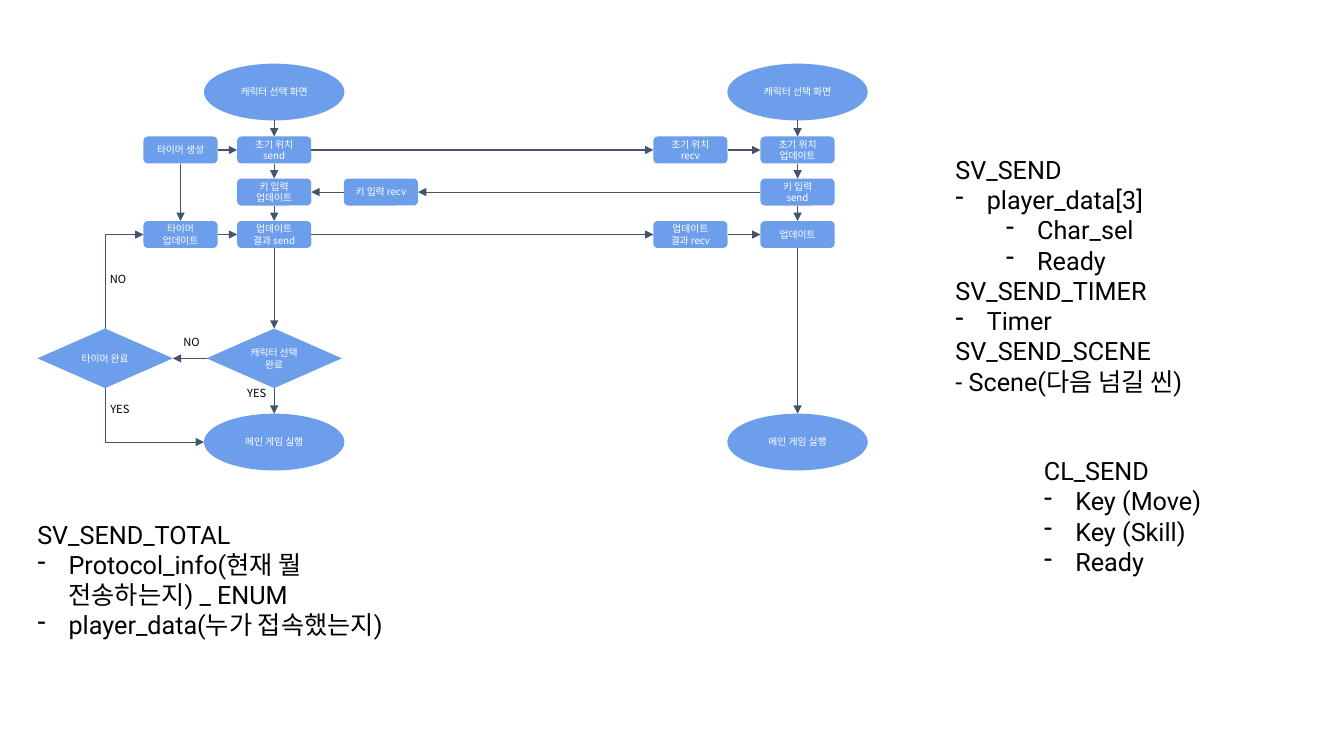
from lxml import etree
from pptx import Presentation
from pptx import util as u
from pptx.dml.color import RGBColor
from pptx.enum import shapes, text
from pptx.oxml.ns import qn

BLUE = RGBColor(0x6D, 0x9E, 0xEB)
SLATE = RGBColor(0x44, 0x54, 0x6A)
WHITE = RGBColor(0xFF, 0xFF, 0xFF)
BLACK = RGBColor(0, 0, 0)
FLOW_FONT = "Noto Sans CJK KR"
LIST_FONT = "Roboto"
INSET = u.Cm(0.25)

presentation = Presentation()
presentation.slide_width = u.Cm(33.87)
presentation.slide_height = u.Cm(19.05)
slide = presentation.slides.add_slide(presentation.slide_layouts[6])


def style_paragraph(paragraph, size, name, color):
    paragraph.font.size = u.Pt(size)
    paragraph.font.name = name
    paragraph.font.color.rgb = color
    properties = paragraph._p.get_or_add_pPr().find(qn("a:defRPr"))
    etree.SubElement(properties, qn("a:ea")).set("typeface", FLOW_FONT)


def add_line(x1, y1, x2, y2, arrow=True):
    line = slide.shapes.add_connector(
        shapes.MSO_CONNECTOR.STRAIGHT, u.Cm(x1), u.Cm(y1), u.Cm(x2), u.Cm(y2))
    line.line.color.rgb = SLATE
    line.line.width = u.Pt(0.75)
    if arrow:
        outline = line.line._get_or_add_ln()
        etree.SubElement(outline, qn("a:tailEnd")).set("type", "triangle")
    etree.SubElement(line._element.spPr, qn("a:effectLst"))


TIMER_CHECK, TIMER, SERVER, SERVER_RECV = 2.65, 4.55, 6.91, 9.6
CLIENT_RECV, CLIENT = 17.4, 20.1
START, INITIAL, KEY, UPDATE, CHECK, GAME = 2.32, 3.78, 4.84, 5.91, 9.03, 11.14

OVAL = (shapes.MSO_SHAPE.OVAL, 3.54, 1.43)
BOX = (shapes.MSO_SHAPE.ROUNDED_RECTANGLE, 1.87, 0.68)
DECISION = (shapes.MSO_SHAPE.FLOWCHART_DECISION, 3.41, 1.5)

nodes = {
    (SERVER, START): (OVAL, "캐릭터 선택 화면"),
    (CLIENT, START): (OVAL, "캐릭터 선택 화면"),
    (TIMER, INITIAL): (BOX, "타이머 생성"),
    (SERVER, INITIAL): (BOX, "초기 위치 send"),
    (CLIENT_RECV, INITIAL): (BOX, "초기 위치 recv"),
    (CLIENT, INITIAL): (BOX, "초기 위치 업데이트"),
    (SERVER, KEY): (BOX, "키 입력 업데이트"),
    (SERVER_RECV, KEY): (BOX, "키 입력 recv"),
    (CLIENT, KEY): (BOX, "키 입력 send"),
    (TIMER, UPDATE): (BOX, "타이머 업데이트"),
    (SERVER, UPDATE): (BOX, "업데이트 결과 send"),
    (CLIENT_RECV, UPDATE): (BOX, "업데이트 결과 recv"),
    (CLIENT, UPDATE): (BOX, "업데이트"),
    (TIMER_CHECK, CHECK): (DECISION, "타이머 완료"),
    (SERVER, CHECK): (DECISION, "캐릭터 선택 완료"),
    (SERVER, GAME): (OVAL, "메인 게임 실행"),
    (CLIENT, GAME): (OVAL, "메인 게임 실행"),
}
for (x, y), ((preset, width, height), label) in nodes.items():
    shape = slide.shapes.add_shape(
        preset, u.Cm(x - width / 2), u.Cm(y - height / 2), u.Cm(width), u.Cm(height))
    shape.shadow.inherit = False
    shape.fill.solid()
    shape.fill.fore_color.rgb = BLUE
    shape.line.fill.background()
    frame = shape.text_frame
    frame.word_wrap = True
    frame.vertical_anchor = text.MSO_ANCHOR.MIDDLE
    frame.margin_left = frame.margin_right = INSET
    frame.margin_top = frame.margin_bottom = INSET
    paragraph = frame.paragraphs[0]
    paragraph.text = label
    paragraph.alignment = text.PP_ALIGN.CENTER
    style_paragraph(paragraph, 7, FLOW_FONT, WHITE)

columns = [
    (SERVER, [START, INITIAL, KEY, UPDATE, CHECK, GAME]),
    (CLIENT, [START, INITIAL, KEY, UPDATE, GAME]),
    (TIMER, [INITIAL, UPDATE]),
]
for x, stops in columns:
    for above, below in zip(stops, stops[1:]):
        top = above + nodes[x, above][0][2] / 2
        bottom = below - nodes[x, below][0][2] / 2
        add_line(x, top, x, bottom)

rows = [
    (INITIAL, [TIMER, SERVER, CLIENT_RECV, CLIENT]),
    (KEY, [CLIENT, SERVER_RECV, SERVER]),
    (UPDATE, [TIMER, SERVER, CLIENT_RECV, CLIENT]),
    (CHECK, [SERVER, TIMER_CHECK]),
]
for y, stops in rows:
    for source, target in zip(stops, stops[1:]):
        direction = 1 if target > source else -1
        start = source + direction * nodes[source, y][0][1] / 2
        end = target - direction * nodes[target, y][0][1] / 2
        add_line(start, y, end, y)

half_decision = DECISION[2] / 2
for side, y, target, width in [(-1, UPDATE, TIMER, BOX[1]), (1, GAME, SERVER, OVAL[1])]:
    add_line(TIMER_CHECK, CHECK + side * half_decision, TIMER_CHECK, y, arrow=False)
    add_line(TIMER_CHECK, y, target - width / 2, y)

for label, x, y in [("YES", 5.98, 9.57), ("NO", 4.37, 8.28),
                    ("YES", 2.53, 9.96), ("NO", 2.52, 6.7)]:
    box = slide.shapes.add_textbox(u.Cm(x), u.Cm(y), u.Cm(1.22), u.Cm(0.86))
    frame = box.text_frame
    frame.word_wrap = True
    frame.margin_left = frame.margin_right = INSET
    frame.margin_top = frame.margin_bottom = INSET
    frame.paragraphs[0].text = label
    style_paragraph(frame.paragraphs[0], 8, FLOW_FONT, BLACK)

HEADING, ITEM, SUBITEM = None, 0.79, 2.06
packet_lists = [
    (23.83, 3.76, 9.22, 7.19, [
        (HEADING, "SV_SEND"), (ITEM, "player_data[3]"),
        (SUBITEM, "Char_sel"), (SUBITEM, "Ready"),
        (HEADING, "SV_SEND_TIMER"), (ITEM, "Timer"),
        (HEADING, "SV_SEND_SCENE"), (HEADING, "- Scene(다음 넘길 씬)")]),
    (26.06, 11.35, 4.75, 3.33, [
        (HEADING, "CL_SEND"), (ITEM, "Key (Move)"),
        (ITEM, "Key (Skill)"), (ITEM, "Ready")]),
    (0.69, 12.95, 9.22, 4.11, [
        (HEADING, "SV_SEND_TOTAL"),
        (ITEM, "Protocol_info(현재 뭘 전송하는지) _ ENUM"),
        (ITEM, "player_data(누가 접속했는지)")]),
]
for x, y, width, height, entries in packet_lists:
    box = slide.shapes.add_textbox(u.Cm(x), u.Cm(y), u.Cm(width), u.Cm(height))
    frame = box.text_frame
    frame.word_wrap = True
    for index, (indent, entry) in enumerate(entries):
        paragraph = frame.add_paragraph() if index else frame.paragraphs[0]
        paragraph.text = entry
        if indent is not HEADING:
            paragraph.level = 1 if indent == SUBITEM else 0
            properties = paragraph._p.get_or_add_pPr()
            properties.set("marL", str(u.Cm(indent)))
            properties.set("indent", str(-u.Cm(ITEM)))
            etree.SubElement(properties, qn("a:buChar")).set("char", "-")
        style_paragraph(paragraph, 18, LIST_FONT, BLACK)

presentation.save("out.pptx")
